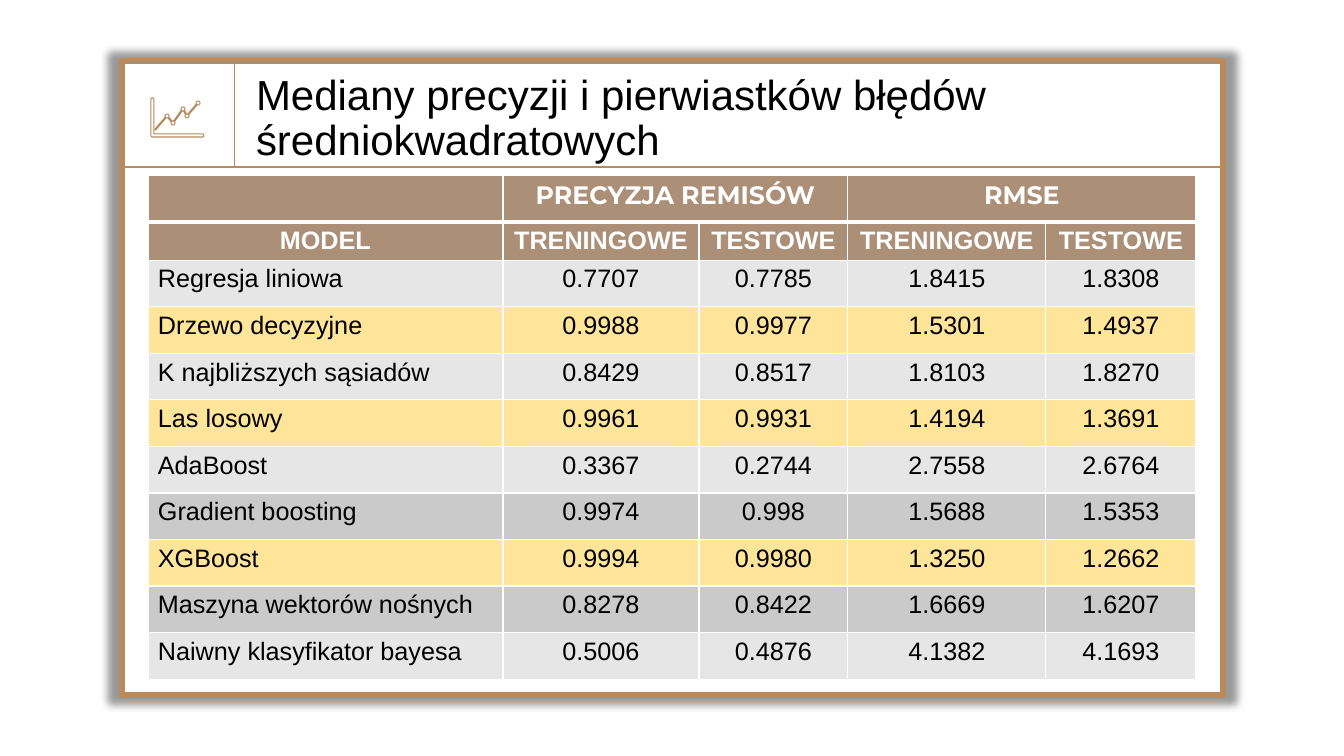
import dataclasses

import lxml.etree
import pptx
import pptx.dml.color
import pptx.enum.shapes
import pptx.enum.text
import pptx.oxml.ns
import pptx.util

EMU_PER_PIXEL = 914400 / 100.8


@dataclasses.dataclass(frozen=True)
class Theme:
    """Colours, fonts and type sizes of the slide."""
    white: str = "FFFFFF"
    black: str = "000000"
    frame: str = "BB8A5A"
    icon: str = "B6885B"
    header: str = "AB8F77"
    light: str = "E6E6E6"
    dark: str = "CACACA"
    highlight: str = "FFE599"
    font: str = "Arial"
    group_font: str = "Montserrat"
    title_size: int = 30
    table_size: int = 18


def emu(pixels):
    """Turn pixels into EMU."""
    return pptx.util.Emu(round(pixels * EMU_PER_PIXEL))


def rgb(value):
    """Turn a hexadecimal string into a colour."""
    return pptx.dml.color.RGBColor.from_string(value)


def add_node(parent, tag, **attributes):
    """Append an XML element with the given attributes."""
    node = lxml.etree.SubElement(parent, pptx.oxml.ns.qn(tag))
    for name, value in attributes.items():
        node.set(name, str(value))
    return node


class SlideBuilder:
    """Draws elements on one slide in one style."""

    def __init__(self, slide, theme):
        """Keep the slide and its style."""
        self.slide = slide
        self.shapes = slide.shapes
        self.theme = theme

    def style(self, shape, fill, line, width):
        """Set fill and outline and drop the shadow."""
        shape.shadow.inherit = False
        if fill:
            shape.fill.solid()
            shape.fill.fore_color.rgb = rgb(fill)
        else:
            shape.fill.background()
        shape.line.color.rgb = rgb(line)
        shape.line.width = pptx.util.Pt(width)

    def shape(self, kind, left, top, width, height, line, line_width):
        """Add a white preset shape with a coloured outline."""
        shape = self.shapes.add_shape(kind, *map(emu, (left, top, width, height)))
        self.style(shape, self.theme.white, line, line_width)
        return shape

    def glow(self, shape):
        """Give a shape a soft shadow slightly larger than itself."""
        effects = shape._element.spPr.find(pptx.oxml.ns.qn("a:effectLst"))
        shadow = add_node(effects, "a:outerShdw", blurRad=pptx.util.Pt(5),
                          sx=102000, sy=102000, algn="ctr", rotWithShape=0)
        colour = add_node(shadow, "a:srgbClr", val=self.theme.black)
        add_node(colour, "a:alpha", val=40000)

    def line(self, start, end):
        """Add a thin divider."""
        connector = self.shapes.add_connector(
            pptx.enum.shapes.MSO_CONNECTOR.STRAIGHT, *map(emu, start + end))
        connector.line.color.rgb = rgb(self.theme.frame)
        connector.line.width = pptx.util.Pt(0.75)
        add_node(connector._element.spPr, "a:effectLst")

    def outline(self, points, fill, width, close):
        """Add a freeform through the given points."""
        builder = self.shapes.build_freeform(*points[0], scale=EMU_PER_PIXEL)
        builder.add_line_segments(points[1:], close=close)
        self.style(builder.convert_to_shape(), fill, self.theme.icon, width)

    def title(self, text, left, top, width, height):
        """Place and format the title in front of the frame."""
        title = self.shapes.title
        self.shapes._spTree.append(title._element)
        title.left, title.top, title.width, title.height = map(
            emu, (left, top, width, height))
        frame = title.text_frame
        frame.text = text
        frame.word_wrap = True
        frame.auto_size = pptx.enum.text.MSO_AUTO_SIZE.NONE
        frame.vertical_anchor = pptx.enum.text.MSO_ANCHOR.BOTTOM
        frame.margin_left = frame.margin_right = emu(10)
        frame.margin_top = frame.margin_bottom = emu(10)
        paragraph = frame.paragraphs[0]
        paragraph.alignment = pptx.enum.text.PP_ALIGN.LEFT
        paragraph.line_spacing = 0.9
        self.font(paragraph, self.theme.title_size, self.theme.black)

    def font(self, paragraph, size, colour, bold=False, name=None):
        """Set the font of a paragraph."""
        paragraph.font.name = name or self.theme.font
        paragraph.font.size = pptx.util.Pt(size)
        paragraph.font.bold = bold
        paragraph.font.color.rgb = rgb(colour)

    def borders(self, cell, top, bottom):
        """Draw white borders around a cell."""
        properties = cell._tc.get_or_add_tcPr()
        for side, width in (("L", 1), ("R", 1), ("T", top), ("B", bottom)):
            border = add_node(properties, "a:ln" + side, w=pptx.util.Pt(width))
            add_node(add_node(border, "a:solidFill"), "a:srgbClr", val=self.theme.white)

    def cell(self, cell, text, row, column, fill):
        """Fill and format one table cell."""
        is_header = row < 2
        self.borders(cell, 3 if row == 1 else 1, 3 if row == 0 else 1)
        cell.fill.solid()
        cell.fill.fore_color.rgb = rgb(fill)
        cell.margin_left = cell.margin_right = emu(10)
        cell.margin_top = cell.margin_bottom = emu(5)
        cell.text = text
        paragraph = cell.text_frame.paragraphs[0]
        if is_header or column:
            paragraph.alignment = pptx.enum.text.PP_ALIGN.CENTER
        self.font(paragraph, self.theme.table_size,
                  self.theme.white if is_header else self.theme.black, is_header,
                  self.theme.group_font if row == 0 else None)

    def table(self, rows, fills, left, top, widths, heights):
        """Add the table, with grouped column headings in its first row."""
        frame = self.shapes.add_table(len(rows), len(widths), emu(left), emu(top),
                                      emu(sum(widths)), emu(sum(heights)))
        table = frame.table
        table.first_row = table.horz_banding = False
        for column, width in enumerate(widths):
            table.columns[column].width = emu(width)
        for row, (texts, fill, height) in enumerate(zip(rows, fills, heights)):
            table.rows[row].height = emu(height)
            for column, text in enumerate(texts):
                self.cell(table.cell(row, column), text, row, column, fill)
        for column in (1, 3):
            table.cell(0, column).merge(table.cell(0, column + 1))

    def chart_icon(self):
        """Draw the line-chart icon: axes, trend and markers."""
        axes = [(151, 99), (152, 98), (153, 98), (154, 99), (154, 134), (203, 134),
                (204, 135), (204, 136), (203, 137), (152, 137), (151, 136)]
        trend = [(155, 130), (167, 116), (173, 123), (183, 109), (187, 116), (198, 103)]
        self.outline(axes, self.theme.white, 0.75, True)
        self.outline(trend, None, 1.5, False)
        for x, y in trend[1:]:
            self.shape(pptx.enum.shapes.MSO_SHAPE.OVAL, x - 2, y - 2, 4, 4,
                       self.theme.icon, 0.75)


MODELS = [
    ("Regresja liniowa", "0.7707", "0.7785", "1.8415", "1.8308", "light"),
    ("Drzewo decyzyjne", "0.9988", "0.9977", "1.5301", "1.4937", "highlight"),
    ("K najbliższych sąsiadów", "0.8429", "0.8517", "1.8103", "1.8270", "light"),
    ("Las losowy", "0.9961", "0.9931", "1.4194", "1.3691", "highlight"),
    ("AdaBoost", "0.3367", "0.2744", "2.7558", "2.6764", "light"),
    ("Gradient boosting", "0.9974", "0.998", "1.5688", "1.5353", "dark"),
    ("XGBoost", "0.9994", "0.9980", "1.3250", "1.2662", "highlight"),
    ("Maszyna wektorów nośnych", "0.8278", "0.8422", "1.6669", "1.6207", "dark"),
    ("Naiwny klasyfikator bayesa", "0.5006", "0.4876", "4.1382", "4.1693", "light"),
]
HEADINGS = [
    ("", "PRECYZJA REMISÓW", "", "RMSE", ""),
    ("MODEL",) + ("TRENINGOWE", "TESTOWE") * 2,
]


def main():
    """Build the slide and save it."""
    presentation = pptx.Presentation()
    presentation.slide_width, presentation.slide_height = emu(1344), emu(756)
    theme = Theme()
    slide = presentation.slides.add_slide(presentation.slide_layouts[5])
    builder = SlideBuilder(slide, theme)

    frame = builder.shape(pptx.enum.shapes.MSO_SHAPE.RECTANGLE, 122, 61, 1101, 634,
                          theme.frame, 4.5)
    builder.glow(frame)
    builder.line((235, 61), (235, 167))
    builder.line((122, 167), (1223, 167))
    builder.title("Mediany precyzji i pierwiastków błędów średniokwadratowych",
                  246, 98, 917, 77)

    colours = {"light": theme.light, "dark": theme.dark, "highlight": theme.highlight}
    rows = HEADINGS + [model[:-1] for model in MODELS]
    fills = [theme.header] * 2 + [colours[model[-1]] for model in MODELS]
    body_height = 419 / len(MODELS)
    builder.table(rows, fills, 148, 175, [355, 196, 149, 198, 150],
                  [47, 38] + [body_height] * len(MODELS))
    builder.chart_icon()
    presentation.save("out.pptx")


main()
